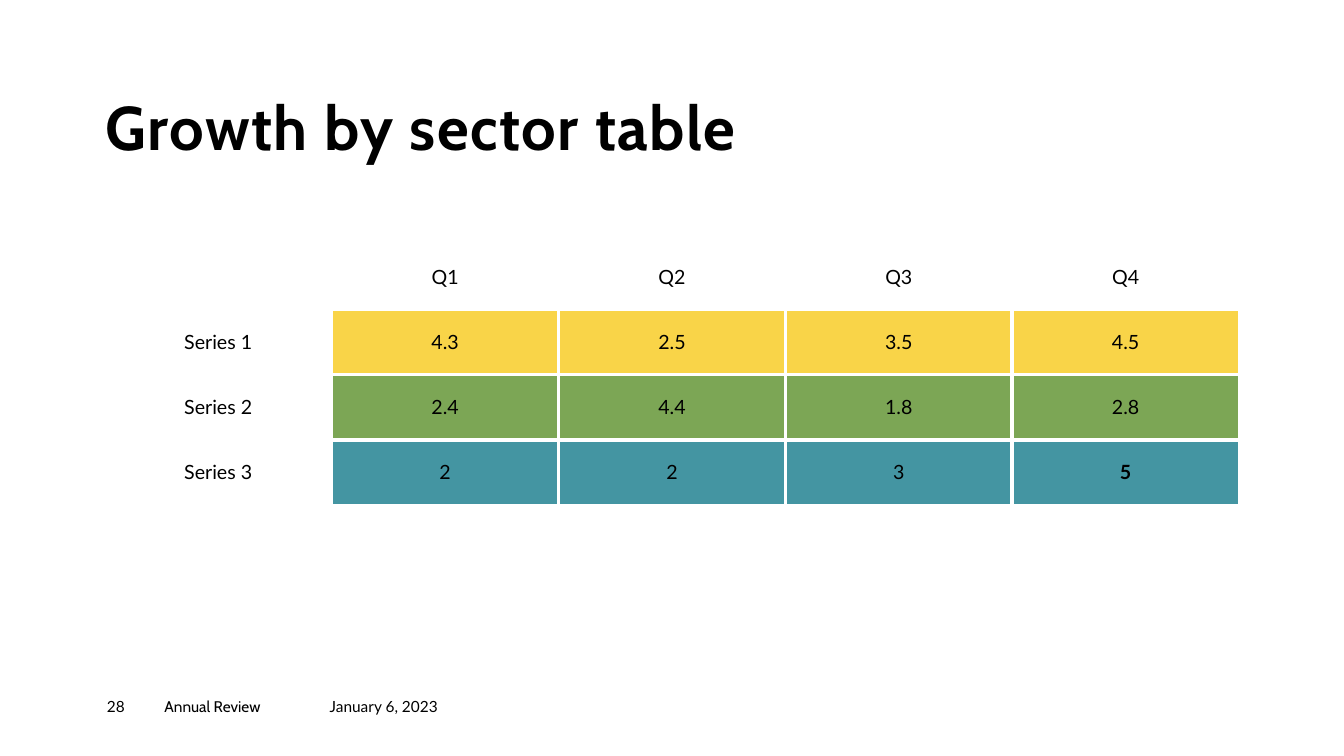
from lxml.etree import SubElement
from pptx import Presentation
from pptx.dml.color import RGBColor
from pptx.enum.text import MSO_ANCHOR, PP_ALIGN
from pptx.oxml.ns import qn
from pptx.util import Inches, Pt

BLACK, WHITE = "000000", "FFFFFF"
QUARTERS = ["Q1", "Q2", "Q3", "Q4"]
SECTORS = [
    ("Series 1", "F9D448", ["4.3", "2.5", "3.5", "4.5"]),
    ("Series 2", "7CA655", ["2.4", "4.4", "1.8", "2.8"]),
    ("Series 3", "4495A2", ["2", "2", "3", "5"]),
]
FOOTER = [("28", "Lato", 4.28), ("Annual Review", "Cabin", 12.3),
          ("January 6, 2023", "Lato", 10.8)]


def colour(hex_value):
    return RGBColor.from_string(hex_value)


def border_widths(row, column):
    """Widths in points: thick between values, thinner around them."""
    if row == 0:
        return {"L": 1, "R": 1, "T": 1, "B": 2.25}
    if column == 0:
        return dict.fromkeys("LRTB", 2.25)
    outer = {"L": column == 1, "R": column == len(QUARTERS),
             "T": row == 1, "B": row == len(SECTORS)}
    return {side: 2.25 if edge else 3 for side, edge in outer.items()}


class ReviewSlide:
    """Holds the style and the slide; lengths are percents of the slide's size."""

    def __init__(self, deck):
        self.width, self.height = deck.slide_width, deck.slide_height
        self.body = {"name": "Lato", "size": Pt(14), "bold": False}
        self.slide = deck.slides.add_slide(deck.slide_layouts[6])
        background = self.slide.background.fill
        background.solid()
        background.fore_color.rgb = colour(WHITE)

    def place(self, left, top, width, height):
        return [round(share * size / 100) for share, size in
                zip((left, top, width, height), (self.width, self.height) * 2)]

    def add_wording(self, paragraph, wording, **changes):
        run = paragraph.add_run()
        run.text = wording
        for attribute, value in {**self.body, **changes}.items():
            setattr(run.font, attribute, value)
        run.font.color.rgb = colour(BLACK)
        return run

    def text(self, area, wording, anchor=MSO_ANCHOR.TOP, **changes):
        frame = self.slide.shapes.add_textbox(*self.place(*area)).text_frame
        layout = {"word_wrap": True, "vertical_anchor": anchor, "margin_left": 0,
                  "margin_right": 0, "margin_top": 0, "margin_bottom": 0}
        for attribute, value in layout.items():
            setattr(frame, attribute, value)
        paragraph = frame.paragraphs[0]
        return paragraph, self.add_wording(paragraph, wording, **changes)

    def title(self, area, wording):
        paragraph, run = self.text(area, wording, MSO_ANCHOR.BOTTOM,
                                   name="Cabin", size=Pt(44), bold=True)
        paragraph.line_spacing = 0.9
        run.font._element.set("spc", "100")

    def footer(self, left, top, height, parts):
        for wording, font, width in parts:
            self.text((left, top, width, height), wording, name=font, size=Pt(11))
            left += width

    def table(self, area, quarters, sectors):
        rows = [(None, ["", *quarters])]
        rows += [(fill, [sector, *values]) for sector, fill, values in sectors]
        table = self.slide.shapes.add_table(
            len(rows), len(quarters) + 1, *self.place(*area)).table
        table.first_row = table.horz_banding = False
        for row, (fill, wordings) in enumerate(rows):
            for column, wording in enumerate(wordings):
                last = row == len(sectors) and column == len(quarters)
                self.cell(table.cell(row, column), wording,
                          fill if column else None, last)
                self.borders(table.cell(row, column), border_widths(row, column))

    def cell(self, cell, wording, fill, bold):
        cell.vertical_anchor = MSO_ANCHOR.MIDDLE
        paragraph = cell.text_frame.paragraphs[0]
        paragraph.alignment = PP_ALIGN.CENTER
        if wording:
            self.add_wording(paragraph, wording, bold=bold)
        if fill:
            cell.fill.solid()
            cell.fill.fore_color.rgb = colour(fill)
        else:
            cell.fill.background()

    def borders(self, cell, widths):
        properties = cell._tc.get_or_add_tcPr()
        for position, (side, points) in enumerate(widths.items()):
            line = SubElement(properties, qn(f"a:ln{side}"), w=str(Pt(points)))
            SubElement(SubElement(line, qn("a:solidFill")), qn("a:srgbClr"), val=WHITE)
            properties.insert(position, line)


def main():
    deck = Presentation()
    deck.slide_width, deck.slide_height = Inches(13.33), Inches(7.5)
    review = ReviewSlide(deck)
    review.title((7.88, 12.8, 62.04, 8.93), "Growth by sector table")
    review.table((7.8, 32.27, 84.4, 34.53), QUARTERS, SECTORS)
    review.footer(7.95, 92.27, 3.6, FOOTER)
    deck.save("out.pptx")


if __name__ == "__main__":
    main()
